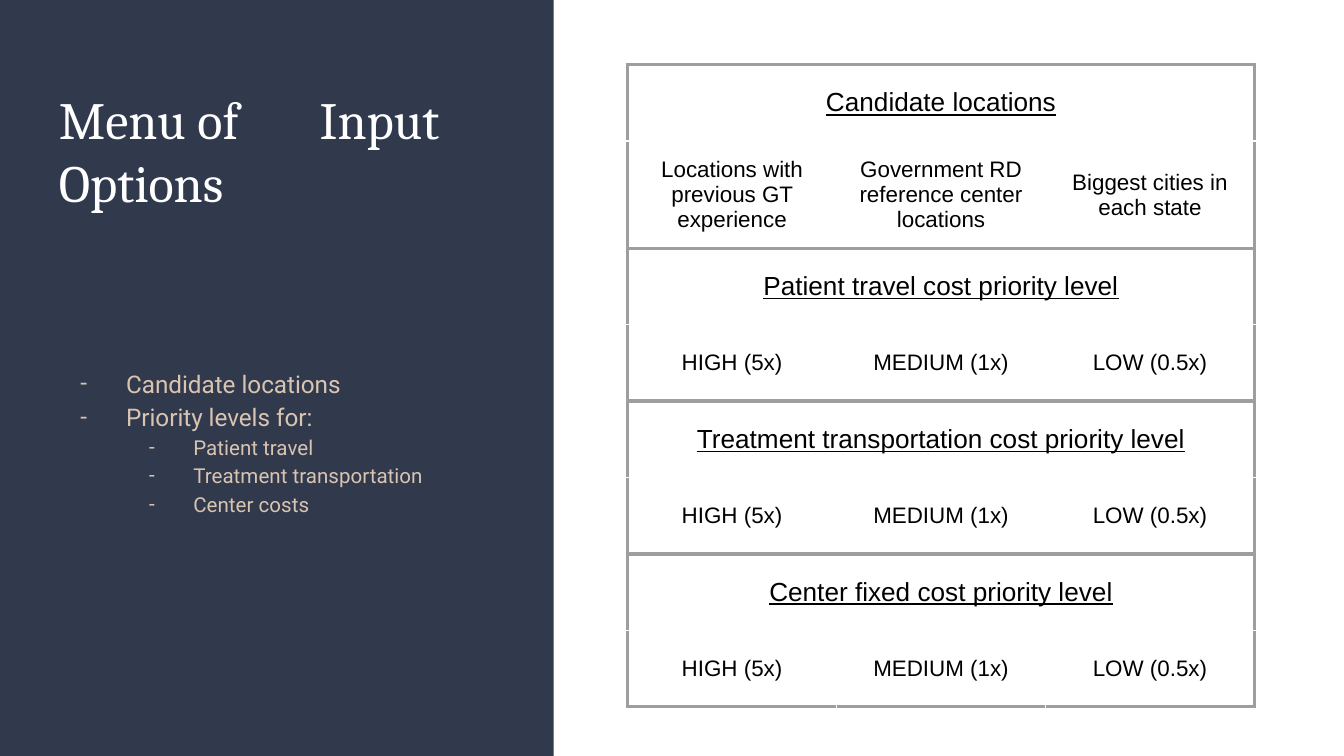
from dataclasses import dataclass

import lxml.etree
import pptx
import pptx.dml.color
import pptx.enum.shapes
import pptx.enum.text
import pptx.oxml.ns
import pptx.util

WIDTH = pptx.util.Inches(10)
HEIGHT = pptx.util.Emu(WIDTH * 9 // 16)
NAVY = pptx.dml.color.RGBColor(0x31, 0x39, 0x4D)
SAND = pptx.dml.color.RGBColor(0xD9, 0xC4, 0xB1)
GRAY = pptx.dml.color.RGBColor(0x9E, 0x9E, 0x9E)
WHITE = pptx.dml.color.RGBColor(0xFF, 0xFF, 0xFF)
BLACK = pptx.dml.color.RGBColor(0x00, 0x00, 0x00)


@dataclass(frozen=True)
class Area:
    left: float
    top: float
    width: float
    height: float

    def place(self) -> tuple[int, int, int, int]:
        return (
            int(WIDTH * self.left / 100),
            int(HEIGHT * self.top / 100),
            int(WIDTH * self.width / 100),
            int(HEIGHT * self.height / 100),
        )


@dataclass(frozen=True)
class Style:
    font: str
    size: int
    color: pptx.dml.color.RGBColor
    underline: bool = False


@dataclass(frozen=True)
class Bullet:
    text: str
    level: int = 0


@dataclass(frozen=True)
class Menu:
    heading: str
    options: tuple[str, ...] = ("HIGH (5x)", "MEDIUM (1x)", "LOW (0.5x)")


PANEL = Area(0, 0, 41.2, 100)
TITLE = Area(3.4, 9.78, 34.2, 35.56)
BODY = Area(3.4, 46.44, 34.2, 44.62)
MENUS_AREA = Area(46.7, 8.54, 32.8, 58.31)
MENU_COLUMN = int(WIDTH * 15.55 / 100)
MENU_ROW = int(HEIGHT * 10.1 / 100)

TITLE_STYLE = Style("Cambria", 28, WHITE)
BULLET_STYLES = (Style("Roboto", 13, SAND), Style("Roboto", 11, SAND))
BULLET_HANGS = (0.34, 0.33)
HEADING_STYLE = Style("Arial", 14, BLACK, True)
OPTION_STYLE = Style("Arial", 12, BLACK)

BULLETS = (
    Bullet("Candidate locations"),
    Bullet("Priority levels for:"),
    Bullet("Patient travel", 1),
    Bullet("Treatment transportation", 1),
    Bullet("Center costs", 1),
)
MENUS = (
    Menu(
        "Candidate locations",
        (
            "Locations with previous GT experience",
            "Government RD reference center locations",
            "Biggest cities in each state",
        ),
    ),
    Menu("Patient travel cost priority level"),
    Menu("Treatment transportation cost priority level"),
    Menu("Center fixed cost priority level"),
)


def add_element(parent, tag: str, **attributes: str):
    return lxml.etree.SubElement(parent, pptx.oxml.ns.qn(tag), attributes)


def add_run(p, text: str, style: Style) -> None:
    r = p.add_run()
    r.text = text
    r.font.name = style.font
    r.font.size = pptx.util.Pt(style.size)
    r.font.color.rgb = style.color
    r.font.underline = style.underline


def add_text_frame(s, area: Area):
    tf = s.shapes.add_textbox(*area.place()).text_frame
    tf.word_wrap = True
    tf.margin_left = tf.margin_right = pptx.util.Inches(0.1)
    tf.margin_top = tf.margin_bottom = pptx.util.Inches(0.1)
    return tf


def add_panel(s) -> None:
    sp = s.shapes.add_shape(pptx.enum.shapes.MSO_SHAPE.RECTANGLE, *PANEL.place())
    sp.shadow.inherit = False
    sp.fill.solid()
    sp.fill.fore_color.rgb = NAVY
    sp.line.fill.background()


def add_title(s) -> None:
    p = add_text_frame(s, TITLE).paragraphs[0]
    tabs = add_element(p._p.get_or_add_pPr(), "a:tabLst")
    add_element(tabs, "a:tab", pos=str(pptx.util.Inches(1.94)), algn="l")
    add_run(p, "Menu of\tInput Options", TITLE_STYLE)


def add_bullets(s) -> None:
    tf = add_text_frame(s, BODY)
    for i, bullet in enumerate(BULLETS):
        style = BULLET_STYLES[bullet.level]
        p = tf.add_paragraph() if i else tf.paragraphs[0]
        p.level = bullet.level
        p.line_spacing = 1.15
        pPr = p._p.get_or_add_pPr()
        pPr.set("marL", str(pptx.util.Inches(0.5 * (bullet.level + 1))))
        pPr.set("indent", str(-pptx.util.Inches(BULLET_HANGS[bullet.level])))
        add_element(add_element(pPr, "a:buClr"), "a:srgbClr", val=str(SAND))
        add_element(pPr, "a:buSzPts", val=str(style.size * 100))
        add_element(pPr, "a:buFont", typeface=style.font)
        add_element(pPr, "a:buChar", char="-")
        add_run(p, bullet.text, style)


def set_borders(cell, strong_sides: dict[str, bool]) -> None:
    tcPr = cell._tc.get_or_add_tcPr()
    for side, strong in strong_sides.items():
        width = pptx.util.Pt(2.25 if strong else 0.75)
        line = add_element(tcPr, f"a:ln{side}", w=str(width), cap="flat", cmpd="sng")
        fill = add_element(line, "a:solidFill")
        add_element(fill, "a:srgbClr", val=str(GRAY if strong else WHITE))
        add_element(line, "a:prstDash", val="solid")


def fill_cell(cell, text: str, style: Style) -> None:
    cell.vertical_anchor = pptx.enum.text.MSO_ANCHOR.MIDDLE
    cell.margin_left = cell.margin_right = pptx.util.Inches(0.1)
    cell.margin_top = cell.margin_bottom = pptx.util.Inches(0.1)
    p = cell.text_frame.paragraphs[0]
    p.alignment = pptx.enum.text.PP_ALIGN.CENTER
    add_run(p, text, style)


def add_menus(s) -> None:
    last = len(MENUS[0].options) - 1
    frame = s.shapes.add_table(2 * len(MENUS), last + 1, *MENUS_AREA.place())
    table = frame.table
    table.first_row = False
    table.horz_banding = False
    for column in table.columns:
        column.width = MENU_COLUMN
    for row in table.rows:
        row.height = MENU_ROW
    _, _, frame.width, frame.height = MENUS_AREA.place()
    for row in range(2 * len(MENUS)):
        heading = row % 2 == 0
        for col in range(last + 1):
            cell = table.cell(row, col)
            set_borders(cell, {
                "L": heading or col == 0,
                "R": heading or col == last,
                "T": heading,
                "B": not heading,
            })
            cell.fill.background()
    for i, menu in enumerate(MENUS):
        table.cell(2 * i, 0).merge(table.cell(2 * i, last))
        fill_cell(table.cell(2 * i, 0), menu.heading, HEADING_STYLE)
        for col, option in enumerate(menu.options):
            fill_cell(table.cell(2 * i + 1, col), option, OPTION_STYLE)


def main() -> None:
    prs = pptx.Presentation()
    prs.slide_width = WIDTH
    prs.slide_height = HEIGHT
    s = prs.slides.add_slide(prs.slide_layouts[6])
    add_panel(s)
    add_title(s)
    add_bullets(s)
    add_menus(s)
    prs.save("out.pptx")


if __name__ == "__main__":
    main()
